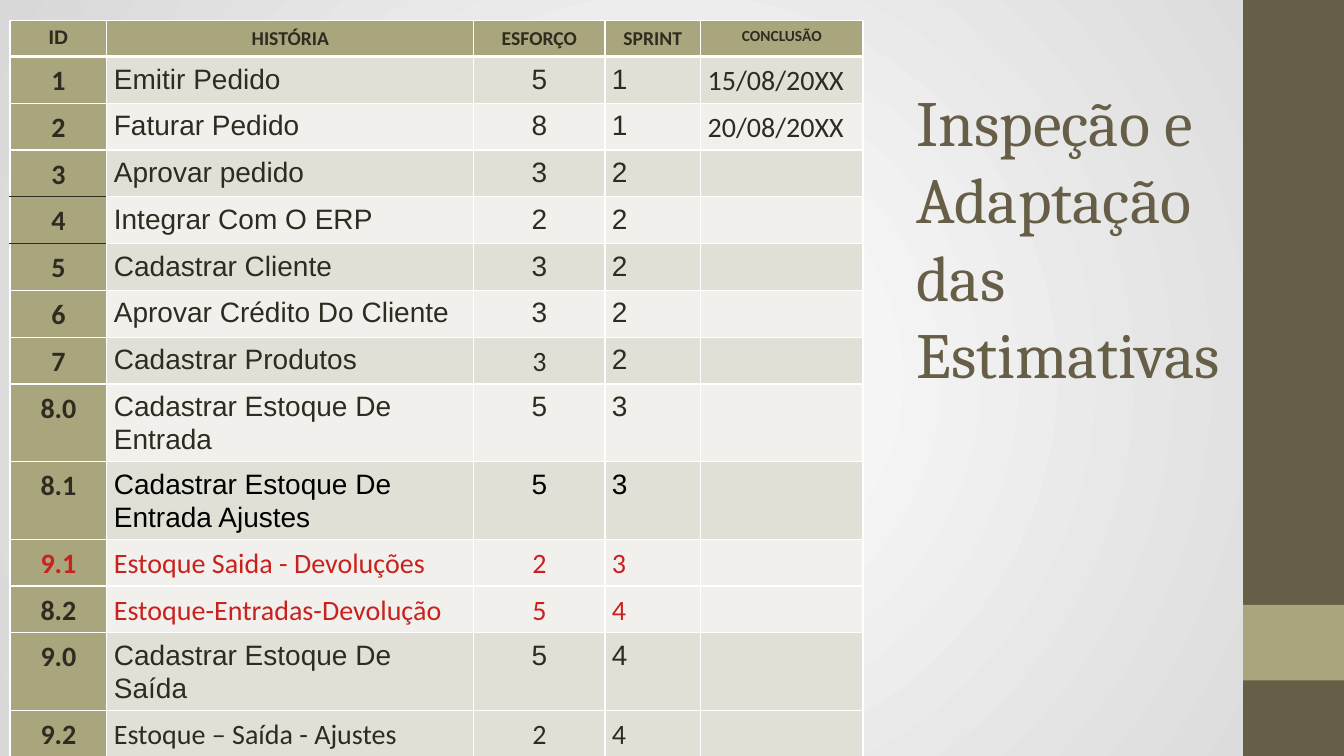
from dataclasses import dataclass

from lxml.etree import SubElement
from pptx import Presentation
from pptx.dml.color import RGBColor
from pptx.enum.shapes import MSO_SHAPE
from pptx.enum.text import MSO_ANCHOR, MSO_AUTO_SIZE, PP_ALIGN
from pptx.oxml.ns import qn
from pptx.util import Inches, Pt


@dataclass(frozen=True)
class Theme:
    """Colours, fonts and type sizes of the slide."""
    brown: str = "675E47"
    olive: str = "A9A57C"
    ink: str = "2F2B20"
    black: str = "000000"
    red: str = "C9211E"
    white: str = "FFFFFF"
    grey: str = "D8D8D8"
    dark_band: str = "E1E0D6"
    light_band: str = "F1F0EC"
    title_font: str = "Cambria"
    label_font: str = "Calibri"
    body_font: str = "Arial"
    title_size: float = 46
    body_size: float = 20
    header_size: float = 14
    small_size: float = 11
    thin_line: float = 0.96
    thick_line: float = 3


@dataclass(frozen=True)
class Box:
    """A region of the slide in inches."""
    left: float
    top: float
    width: float
    height: float

    def lengths(self):
        """Return the four sides as slide lengths."""
        return [Inches(side) for side in (self.left, self.top, self.width, self.height)]


@dataclass(frozen=True)
class Story:
    """One row of the backlog."""
    number: str
    name: str
    effort: str
    sprint: str
    done: str = ""
    font: str = Theme.body_font
    effort_font: str = ""
    color: str = Theme.ink
    number_color: str = Theme.ink
    band: str = Theme.light_band
    lines: int = 1


THEME = Theme()
SLIDE = Box(0, 0, 13.33, 7.5)
COLUMNS = [0.96, 3.64, 1.3, 0.95, 1.61]
HEADER_HEIGHT = 0.36
ROW_HEIGHTS = {1: 0.46, 2: 0.77}
CENTERED_COLUMNS = (0, 2)
DARK_RULES = (3, 4)
HEADERS = ["ID", "HISTÓRIA", "ESFORÇO", "SPRINT", "CONCLUSÃO"]
STORIES = [
    Story("1", "Emitir Pedido", "5", "1", "15/08/20XX", band=THEME.dark_band),
    Story("2", "Faturar Pedido", "8", "1", "20/08/20XX"),
    Story("3", "Aprovar pedido", "3", "2", band=THEME.dark_band),
    Story("4", "Integrar Com O ERP", "2", "2"),
    Story("5", "Cadastrar Cliente", "3", "2", band=THEME.dark_band),
    Story("6", "Aprovar Crédito Do Cliente", "3", "2"),
    Story("7", "Cadastrar Produtos", "3", "2", effort_font=THEME.label_font,
          band=THEME.dark_band),
    Story("8.0", "Cadastrar Estoque De Entrada", "5", "3", lines=2),
    Story("8.1", "Cadastrar Estoque De Entrada Ajustes", "5", "3",
          color=THEME.black, band=THEME.dark_band, lines=2),
    Story("9.1", "Estoque Saida - Devoluções", "2", "3", font=THEME.label_font,
          color=THEME.red, number_color=THEME.red),
    Story("8.2", "Estoque-Entradas-Devolução", "5", "4", font=THEME.label_font,
          color=THEME.red),
    Story("9.0", "Cadastrar Estoque De Saída", "5", "4", band=THEME.dark_band, lines=2),
    Story("9.2", "Estoque – Saída - Ajustes", "2", "4", font=THEME.label_font,
          band=THEME.dark_band),
]


def add_run(paragraph, text, font, size, color, bold=False):
    """Add one formatted run to a paragraph."""
    run = paragraph.add_run()
    run.text = text
    run.font.name = font
    run.font.size = Pt(size)
    run.font.bold = bold
    run.font.color.rgb = RGBColor.from_string(color)


def paint_background(slide):
    """Fill the slide with a round gradient, white in the middle."""
    fill = slide.background.fill
    fill.gradient()
    for stop, position, color in zip(fill.gradient_stops, (0, 1), (THEME.white, THEME.grey)):
        stop.position = position
        stop.color.rgb = RGBColor.from_string(color)
    gradient = slide.element.find(".//" + qn("a:gradFill"))
    gradient.remove(gradient.find(qn("a:lin")))
    circle = SubElement(gradient, qn("a:path"), path="circle")
    SubElement(circle, qn("a:fillToRect"), l="50000", t="50000", r="50000", b="50000")


def add_bar(slide, box, color):
    """Add a plain filled rectangle."""
    bar = slide.shapes.add_shape(MSO_SHAPE.RECTANGLE, *box.lengths())
    bar.shadow.inherit = False
    bar.fill.solid()
    bar.fill.fore_color.rgb = RGBColor.from_string(color)
    bar.line.fill.background()


def add_side_band(slide, box):
    """Place the side band and its lighter block."""
    add_bar(slide, box, THEME.brown)
    block = Box(box.left, box.top + box.height * 0.8, box.width, box.height * 0.1)
    add_bar(slide, block, THEME.olive)


def fill_title(slide, box):
    """Move the title placeholder into its box and write the title."""
    title = slide.shapes.title
    title.left, title.top, title.width, title.height = box.lengths()
    frame = title.text_frame
    frame.auto_size = MSO_AUTO_SIZE.NONE
    frame.word_wrap = True
    frame.vertical_anchor = MSO_ANCHOR.MIDDLE
    frame.margin_left = frame.margin_right = frame.margin_top = frame.margin_bottom = 0
    paragraph = frame.paragraphs[0]
    paragraph.alignment = PP_ALIGN.LEFT
    add_run(paragraph, "Inspeção e Adaptação das Estimativas",
            THEME.title_font, THEME.title_size, THEME.brown)


def set_borders(cell, row, column):
    """Draw the four borders of a cell."""
    properties = cell._tc.get_or_add_tcPr()
    for index, side in enumerate("LRTB"):
        rule = {"T": row - 1, "B": row}.get(side)
        dark = column == 0 and rule in DARK_RULES
        width = THEME.thick_line if rule == 0 else THEME.thin_line
        line = SubElement(properties, qn("a:ln" + side), w=str(Pt(width)))
        fill = SubElement(line, qn("a:solidFill"))
        SubElement(fill, qn("a:srgbClr"), val=THEME.ink if dark else THEME.white)
        properties.insert(index, line)


def fill_cell(table, row, column, text, band, font, size, color, bold=False):
    """Fill, border and write one cell."""
    cell = table.cell(row, column)
    cell.margin_left = cell.margin_right = Inches(0.07)
    cell.margin_top = cell.margin_bottom = Inches(0.05)
    cell.fill.solid()
    cell.fill.fore_color.rgb = RGBColor.from_string(band)
    set_borders(cell, row, column)
    if text:
        paragraph = cell.text_frame.paragraphs[0]
        paragraph.line_spacing = 1.07
        centered = row == 0 or column in CENTERED_COLUMNS
        paragraph.alignment = PP_ALIGN.CENTER if centered else PP_ALIGN.LEFT
        add_run(paragraph, text, font, size, color, bold)


def add_backlog(slide, box):
    """Place the backlog table in its box."""
    shape = slide.shapes.add_table(len(STORIES) + 1, len(COLUMNS), *box.lengths())
    table = shape.table
    table.first_row = table.horz_banding = False
    for column, width in zip(table.columns, COLUMNS):
        column.width = Inches(width)
    heights = [HEADER_HEIGHT] + [ROW_HEIGHTS[story.lines] for story in STORIES]
    for row, height in zip(table.rows, heights):
        row.height = Inches(height)
    for column, text in enumerate(HEADERS):
        font = THEME.body_font if column == 0 else THEME.label_font
        size = THEME.small_size if column == len(HEADERS) - 1 else THEME.header_size
        fill_cell(table, 0, column, text, THEME.olive, font, size, THEME.ink, True)
    for row, story in enumerate(STORIES, 1):
        fill_cell(table, row, 0, story.number, THEME.olive, THEME.label_font,
                  THEME.body_size, story.number_color, True)
        values = [(story.name, story.font), (story.effort, story.effort_font or story.font),
                  (story.sprint, story.font), (story.done, THEME.label_font)]
        for column, (text, font) in enumerate(values, 1):
            fill_cell(table, row, column, text, story.band, font, THEME.body_size, story.color)


def main():
    """Build the slide and save it."""
    presentation = Presentation()
    presentation.slide_width = Inches(SLIDE.width)
    presentation.slide_height = Inches(SLIDE.height)
    slide = presentation.slides.add_slide(presentation.slide_layouts[5])
    paint_background(slide)
    add_side_band(slide, Box(SLIDE.width - 1, 0, 1, SLIDE.height))
    fill_title(slide, Box(9.09, 0.8, 3.21, 3.1))
    add_backlog(slide, Box(0.1, 0.2, sum(COLUMNS), 7.3))
    presentation.save("out.pptx")


if __name__ == "__main__":
    main()
